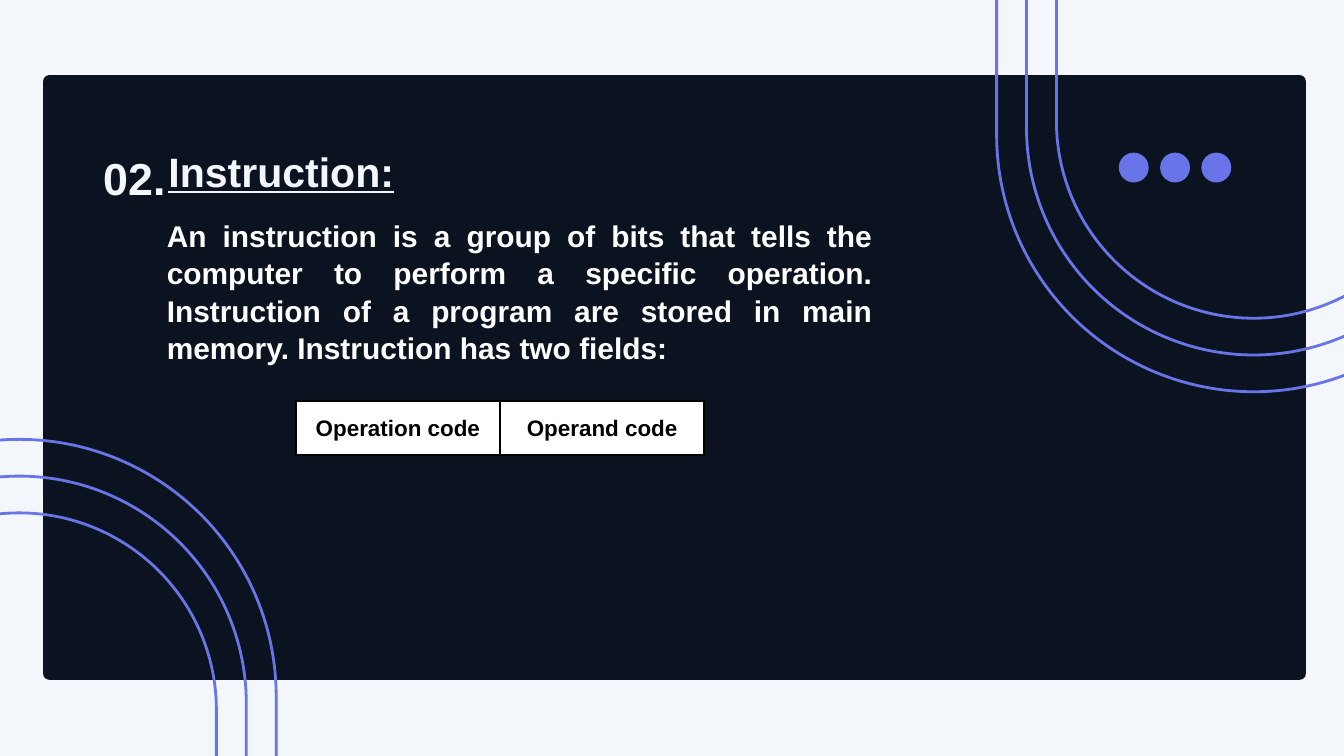
from lxml import etree
from pptx import Presentation
from pptx.dml.color import RGBColor
from pptx.enum.shapes import MSO_SHAPE
from pptx.enum.text import MSO_ANCHOR, MSO_AUTO_SIZE, PP_ALIGN
from pptx.oxml.ns import qn
from pptx.util import Cm, Pt

RECTANGLE = MSO_SHAPE.RECTANGLE
ROUNDED = MSO_SHAPE.ROUNDED_RECTANGLE
ARCH = MSO_SHAPE.ROUND_2_SAME_RECTANGLE
OVAL = MSO_SHAPE.OVAL
TOP, MIDDLE = MSO_ANCHOR.TOP, MSO_ANCHOR.MIDDLE
NO_FIT = MSO_AUTO_SIZE.NONE
CENTER, RIGHT, JUSTIFY = PP_ALIGN.CENTER, PP_ALIGN.RIGHT, PP_ALIGN.JUSTIFY

FONT = "Arial"
PALE, NAVY, VIOLET = "F3F6FA", "0B1320", "6874E8"
WHITE, BLACK = "FFFFFF", "000000"


def color(value):
    """Turn a hex string into a colour."""
    return RGBColor.from_string(value)


def write(shape, text, size, ink, align=CENTER, anchor=TOP, spacing=1.0,
          underline=False, inset=None):
    """Write one bold paragraph into a shape and format it."""
    frame = shape.text_frame
    frame.word_wrap = True
    frame.auto_size = NO_FIT
    frame.vertical_anchor = anchor
    if inset is not None:
        frame.margin_left = frame.margin_right = Cm(inset)
        frame.margin_top = frame.margin_bottom = Cm(inset)
    paragraph = frame.paragraphs[0]
    paragraph.alignment = align
    paragraph.line_spacing = spacing
    paragraph.space_before = Pt(0)
    run = paragraph.add_run()
    run.text = text
    run.font.name = FONT
    run.font.size = Pt(size)
    run.font.bold = True
    run.font.underline = underline
    run.font.color.rgb = color(ink)
    return paragraph


def add_preset(slide, kind, left, top, width, height, fill=None, line=None, weight=1):
    """Add a flat preset shape, with lengths in centimetres."""
    shape = slide.shapes.add_shape(kind, Cm(left), Cm(top), Cm(width), Cm(height))
    shape.shadow.inherit = False
    if fill:
        shape.fill.solid()
        shape.fill.fore_color.rgb = color(fill)
    else:
        shape.fill.background()
    if line:
        shape.line.color.rgb = color(line)
        shape.line.width = Pt(weight)
    else:
        shape.line.fill.background()
    return shape


def place(placeholder, left, top, width, height):
    """Move a placeholder to a box and bring it to the front."""
    placeholder.left, placeholder.top = Cm(left), Cm(top)
    placeholder.width, placeholder.height = Cm(width), Cm(height)
    placeholder.element.getparent().append(placeholder.element)


def add_panel(slide, left, top, width, height):
    """Draw the dark rounded panel."""
    panel = add_preset(slide, ROUNDED, left, top, width, height, fill=NAVY)
    panel.adjustments[0] = 0.01


def add_heading(slide, left, top, width, height):
    """Write the section number and the title beside it."""
    number = slide.shapes.add_textbox(Cm(left), Cm(top), Cm(7.42), Cm(height))
    write(number, "02.", 48, PALE, spacing=1.4, inset=0)
    title = slide.shapes.title
    title_width = 8.86
    place(title, left + width - title_width, top + 0.3, title_width, 2.26)
    write(title, "Instruction:", 44, PALE, align=RIGHT, spacing=1.2,
          underline=True, inset=0)


def add_arches(slide, left, top, width, height, rotation=0):
    """Draw three nested arch outlines."""
    for step in range(3):
        side, end = 1.13 * step, 1.39 * step
        arch = add_preset(slide, ARCH, left + side, top + end, width - 2 * side,
                          height - 2 * end, line=VIOLET, weight=3)
        arch.adjustments[0] = 0.5
        arch.rotation = rotation


def add_dots(slide, left, top, width, height):
    """Draw three dots spread evenly over the box."""
    pitch = (width - height) / 2
    for index in range(3):
        add_preset(slide, OVAL, left + index * pitch, top, height, height, fill=VIOLET)


def add_description(slide, left, top, width, height):
    """Write the definition in the body placeholder, without a bullet."""
    body = slide.placeholders[1]
    place(body, left, top, width, height)
    paragraph = write(
        body,
        "An instruction is a group of bits that tells the computer to perform "
        "a specific operation. Instruction of a program are stored in main "
        "memory. Instruction has two fields:",
        32, WHITE, align=JUSTIFY, spacing=1.04)
    properties = paragraph._p.get_or_add_pPr()
    properties.set("marL", "0")
    properties.set("indent", "0")
    etree.SubElement(properties, qn("a:buNone"))


def add_fields(slide, left, top, width, height):
    """Draw the two instruction fields side by side."""
    names = ("Operation code", "Operand code")
    field_width = width / len(names)
    for index, name in enumerate(names):
        field = add_preset(slide, RECTANGLE, left + index * field_width, top,
                           field_width, height, fill=WHITE, line=BLACK, weight=2)
        write(field, name, 24, BLACK, anchor=MIDDLE)


def main():
    """Build the slide and save it."""
    presentation = Presentation()
    presentation.slide_width, presentation.slide_height = Cm(50.8), Cm(28.58)
    slide = presentation.slides.add_slide(presentation.slide_layouts[1])
    slide.background.fill.solid()
    slide.background.fill.fore_color.rgb = color(PALE)
    add_panel(slide, 1.63, 2.84, 47.73, 22.86)
    add_heading(slide, 1.37, 4.88, 13.54, 2.87)
    add_arches(slide, -8.99, 16.61, 19.43, 23.93)
    add_arches(slide, 37.67, -9.12, 19.43, 23.93, rotation=180)
    add_dots(slide, 42.29, 5.77, 4.25, 1.13)
    add_description(slide, 6.05, 8.05, 27.2, 5.74)
    add_fields(slide, 11.18, 15.16, 15.44, 2.03)
    presentation.save("out.pptx")


if __name__ == "__main__":
    main()
